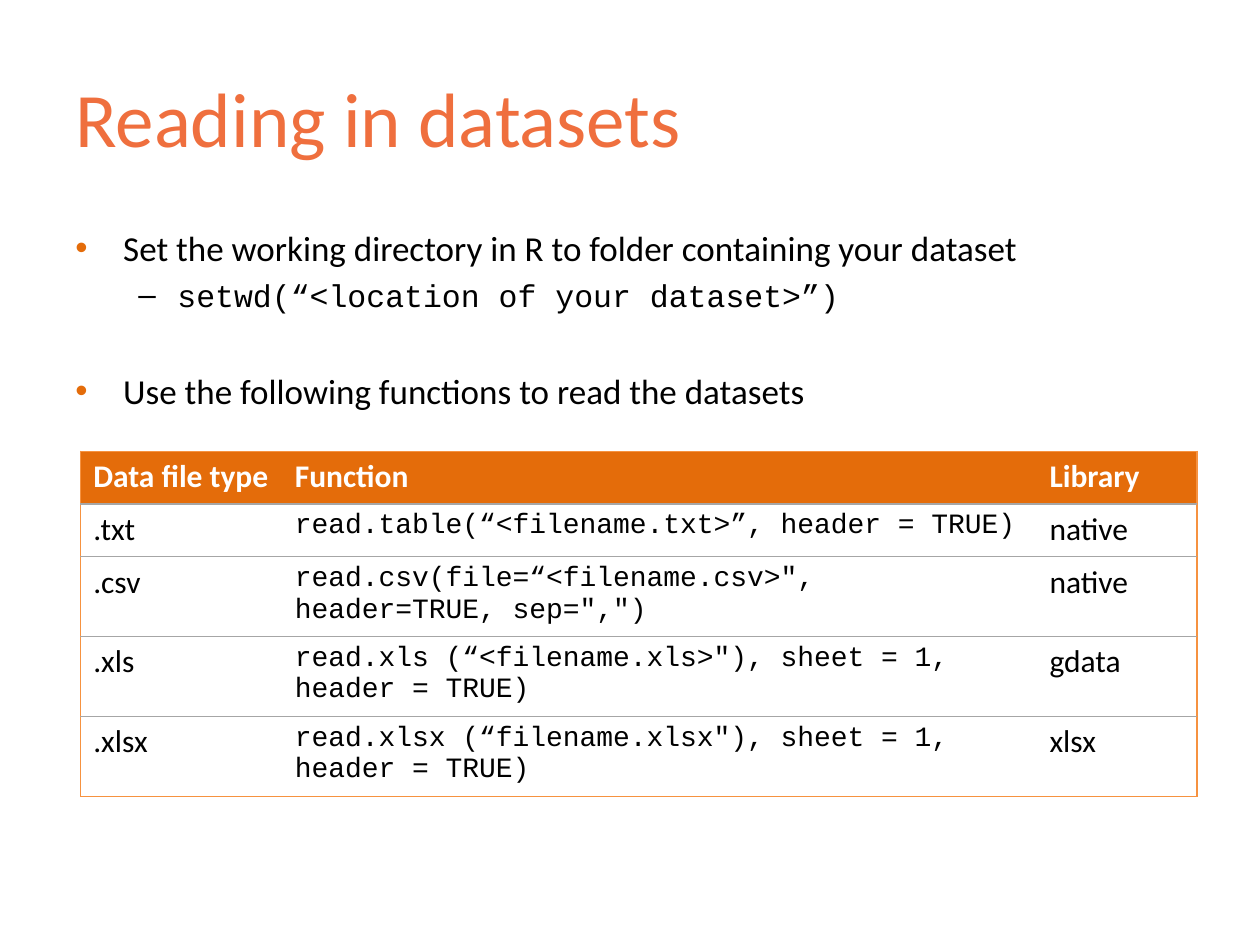
"""Build the slide on reading datasets into R."""
import pptx
import pptx.dml.color
import pptx.enum.text
import pptx.oxml.ns
import pptx.util
from lxml import etree

TITLE = "Reading in datasets"
BULLETS = [
    dict(text="Set the working directory in R to folder containing your dataset", level=0, before=0),
    dict(text="setwd(“<location of your dataset>”)", level=1, before=4),
    dict(text="Use the following functions to read the datasets", level=0, before=32),
]
LEVELS = [
    dict(char="•", color="orange", margin=0.38, indent=-0.38, font="Calibri", size=20),
    dict(char="–", color="black", margin=0.81, indent=-0.31, font="Courier New", size=18),
]
ROWS = [
    ("Data file type", "Function", "Library"),
    (".txt", "read.table(“<filename.txt>”, header = TRUE)", "native"),
    (".csv", "read.csv(file=“<filename.csv>\", header=TRUE, sep=\",\")", "native"),
    (".xls", "read.xls (“<filename.xls>\"), sheet = 1, header = TRUE)", "gdata"),
    (".xlsx", "read.xlsx (“filename.xlsx\"), sheet = 1, header = TRUE)", "xlsx"),
]
COLORS = {"title": "EF6F3E", "orange": "E46C0A", "edge": "F69240",
          "rule": "A6A6A6", "black": "000000", "white": "FFFFFF"}
COL_WIDTHS = [1.6, 5.99, 1.27]
ROW_HEIGHTS = [0.42, 0.42, 0.6, 0.6, 0.6]
W, H = 10, 7.5
MARGIN = 0.05 * W
TABLE_LEFT, TABLE_TOP = 0.64, 3.58

inch = pptx.util.Inches
qn = pptx.oxml.ns.qn


def write(p, text, font="Calibri", size=18, color="black", bold=False):
    r = p.add_run()
    r.text = text
    r.font.name, r.font.size, r.font.bold = font, pptx.util.Pt(size), bold
    r.font.color.rgb = pptx.dml.color.RGBColor.from_string(COLORS[color])


def add_box(s, top, height, anchor):
    tf = s.shapes.add_textbox(inch(MARGIN), inch(top), inch(W - 2 * MARGIN), inch(height)).text_frame
    tf.word_wrap = True
    tf.vertical_anchor = anchor
    return tf


def set_bullet(p, char, color, margin, indent):
    pPr = p._p.get_or_add_pPr()
    pPr.set("marL", str(inch(margin)))
    pPr.set("indent", str(inch(indent)))
    clr = etree.SubElement(pPr, qn("a:buClr"))
    etree.SubElement(clr, qn("a:srgbClr"), val=COLORS[color])
    etree.SubElement(pPr, qn("a:buFont"), typeface="Arial")
    etree.SubElement(pPr, qn("a:buChar"), char=char)


def set_border(cell, side, color):
    ln = etree.SubElement(cell._tc.get_or_add_tcPr(), qn("a:ln" + side), w=str(pptx.util.Pt(0.75)))
    if color:
        fill = etree.SubElement(ln, qn("a:solidFill"))
        etree.SubElement(fill, qn("a:srgbClr"), val=COLORS[color])
    else:
        etree.SubElement(ln, qn("a:noFill"))


def add_bullets(s):
    tf = add_box(s, 1.75, 2.12, pptx.enum.text.MSO_ANCHOR.TOP)
    for i, item in enumerate(BULLETS):
        p = tf.add_paragraph() if i else tf.paragraphs[0]
        level = LEVELS[item["level"]]
        p.level = item["level"]
        p.space_before = pptx.util.Pt(item["before"])
        set_bullet(p, **{k: level[k] for k in ("char", "color", "margin", "indent")})
        write(p, item["text"], font=level["font"], size=level["size"])


def add_functions_table(s):
    n_rows, n_cols = len(ROWS), len(COL_WIDTHS)
    table = s.shapes.add_table(n_rows, n_cols, inch(TABLE_LEFT), inch(TABLE_TOP),
                               inch(sum(COL_WIDTHS)), inch(sum(ROW_HEIGHTS))).table
    table.first_row = table.horz_banding = False
    for col, width in zip(table.columns, COL_WIDTHS):
        col.width = inch(width)
    for i, (row, height) in enumerate(zip(ROWS, ROW_HEIGHTS)):
        table.rows[i].height = inch(height)
        for j, text in enumerate(row):
            cell = table.cell(i, j)
            set_border(cell, "L", "edge" if j == 0 else None)
            set_border(cell, "R", "edge" if j == n_cols - 1 else None)
            set_border(cell, "T", "edge" if i == 0 else "rule")
            set_border(cell, "B", "edge" if i == n_rows - 1 else "rule")
            p = cell.text_frame.paragraphs[0]
            if i == 0:
                cell.fill.solid()
                cell.fill.fore_color.rgb = pptx.dml.color.RGBColor.from_string(COLORS["orange"])
                write(p, text, color="white", bold=True)
            else:
                cell.fill.background()
                code = dict(font="Courier New", size=16) if j == 1 else {}
                write(p, text, **code)


def main():
    prs = pptx.Presentation()
    prs.slide_width, prs.slide_height = inch(W), inch(H)
    s = prs.slides.add_slide(prs.slide_layouts[6])
    tf = add_box(s, 0.3, 1.25, pptx.enum.text.MSO_ANCHOR.MIDDLE)
    write(tf.paragraphs[0], TITLE, size=44, color="title")
    add_bullets(s)
    add_functions_table(s)
    prs.save("out.pptx")


if __name__ == "__main__":
    main()
